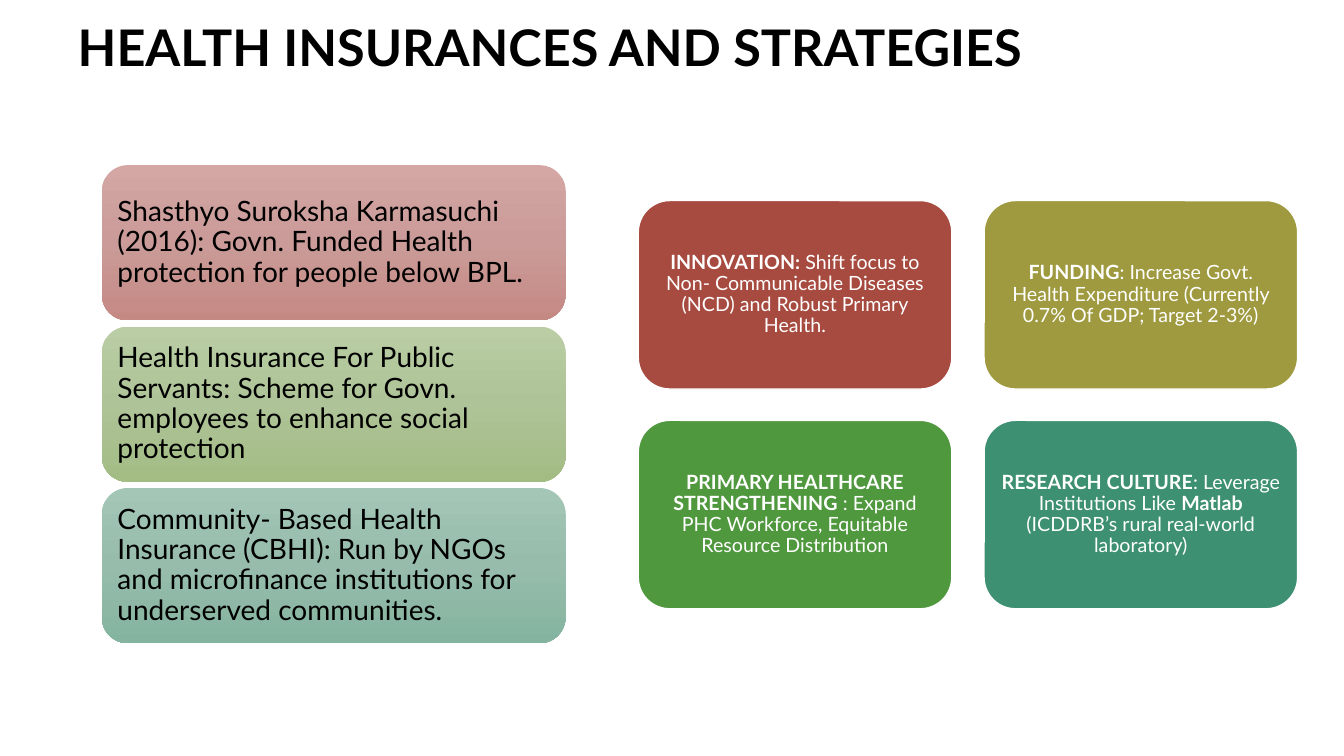
from copy import deepcopy

from pptx import Presentation
from pptx.dml.color import RGBColor
from pptx.enum.shapes import MSO_SHAPE
from pptx.enum.text import MSO_ANCHOR, PP_ALIGN
from pptx.oxml.ns import qn
from pptx.util import Inches, Pt

COLORS = {
    "black": "000000", "white": "FFFFFF",
    "red": "A74B40", "olive": "9F9A3F", "green": "50983E", "teal": "3D9072",
}
GRADIENTS = {
    "rose": ("D4A7A4", "CA9B98", "C58984"),
    "lime": ("BACDA4", "AEC397", "A3BC84"),
    "mint": ("A3C6B6", "97BCAB", "84B49F"),
}
SCHEMES = [
    ("rose", "Shasthyo Suroksha Karmasuchi (2016): Govn. Funded Health "
             "protection for people below BPL."),
    ("lime", "Health Insurance For Public Servants: Scheme for Govn. "
             "employees to enhance social protection"),
    ("mint", "Community- Based Health Insurance (CBHI): Run by NGOs and "
             "microfinance institutions for underserved communities."),
]
# Each strategy's text alternates bold and regular parts, bold first.
STRATEGIES = [
    ("red", ["INNOVATION:", " Shift focus to Non- Communicable Diseases (NCD) "
             "and Robust Primary Health."]),
    ("olive", ["FUNDING", ": Increase Govt. Health Expenditure (Currently "
               "0.7% Of GDP; Target 2-3%)"]),
    ("green", ["PRIMARY HEALTHCARE STRENGTHENING", " : Expand PHC Workforce, "
               "Equitable Resource Distribution"]),
    ("teal", ["RESEARCH CULTURE", ": Leverage Institutions Like ", "Matlab ",
              "(ICDDRB’s rural real-world laboratory)"]),
]


def rgb(name):
    return RGBColor.from_string(COLORS[name])


class Deck:
    font = "Lato"
    line_spacing = 0.9

    def __init__(self, prs):
        self.prs = prs
        self.s = prs.slides.add_slide(prs.slide_layouts[5])

    def box(self, x, y, w, h):
        """Turn percentages of the slide's size into lengths."""
        width, height = self.prs.slide_width, self.prs.slide_height
        return [int(share * full / 100) for share, full in
                ((x, width), (y, height), (w, width), (h, height))]

    def add_text(self, tf, parts, size, color, align, anchor):
        """Fill a frame with one paragraph of (text, bold) parts."""
        tf.word_wrap = True
        tf.vertical_anchor = anchor
        p = tf.paragraphs[0]
        p.alignment = align
        p.line_spacing = self.line_spacing
        for text, bold in parts:
            r = p.add_run()
            r.text = text
            r.font.name = self.font
            r.font.size = Pt(size)
            r.font.bold = bold
            r.font.color.rgb = rgb(color)

    def title(self, text, *area):
        sp = self.s.shapes.title
        sp.left, sp.top, sp.width, sp.height = self.box(*area)
        self.add_text(sp.text_frame, [(text, True)], 36, "black",
                      PP_ALIGN.LEFT, MSO_ANCHOR.TOP)

    def rounded(self, area, inset):
        sp = self.s.shapes.add_shape(MSO_SHAPE.ROUNDED_RECTANGLE, *self.box(*area))
        sp.shadow.inherit = False
        tf = sp.text_frame
        tf.margin_left = tf.margin_right = Inches(inset)
        tf.margin_top = tf.margin_bottom = Inches(inset)
        return sp

    def scheme(self, gradient, text, *area):
        sp = self.rounded(area, 0.08)
        sp.line.fill.background()
        sp.fill.gradient()
        sp.fill.gradient_angle = 270
        stops = sp._element.spPr.find(qn("a:gradFill")).find(qn("a:gsLst"))
        stops.insert(1, deepcopy(stops[0]))
        for i, (stop, color) in enumerate(zip(sp.fill.gradient_stops, GRADIENTS[gradient])):
            stop.position = i / 2
            stop.color.rgb = RGBColor.from_string(color)
        self.add_text(sp.text_frame, [(text, False)], 20, "black",
                      PP_ALIGN.LEFT, MSO_ANCHOR.MIDDLE)

    def strategy(self, color, texts, *area):
        sp = self.rounded(area, 0.06)
        sp.fill.solid()
        sp.fill.fore_color.rgb = rgb(color)
        sp.line.color.rgb = rgb("white")
        sp.line.width = Pt(1)
        parts = [(text, i % 2 == 0) for i, text in enumerate(texts)]
        self.add_text(sp.text_frame, parts, 14, "white",
                      PP_ALIGN.CENTER, MSO_ANCHOR.MIDDLE)


def main():
    prs = Presentation()
    prs.slide_width, prs.slide_height = Inches(13.33), Inches(7.5)
    deck = Deck(prs)
    deck.title("HEALTH INSURANCES AND STRATEGIES", 5.03, 2.4, 90.7, 13.6)
    for i, (color, texts) in enumerate(STRATEGIES):
        row, col = divmod(i, 2)
        deck.strategy(color, texts, 47.49 + 25.73 * col, 26.53 + 29.07 * row, 23.33, 24.93)
    for row, (gradient, text) in enumerate(SCHEMES):
        deck.scheme(gradient, text, 7.58, 21.85 + 21.35 * row, 34.5, 20.53)
    prs.save("out.pptx")


if __name__ == "__main__":
    main()
